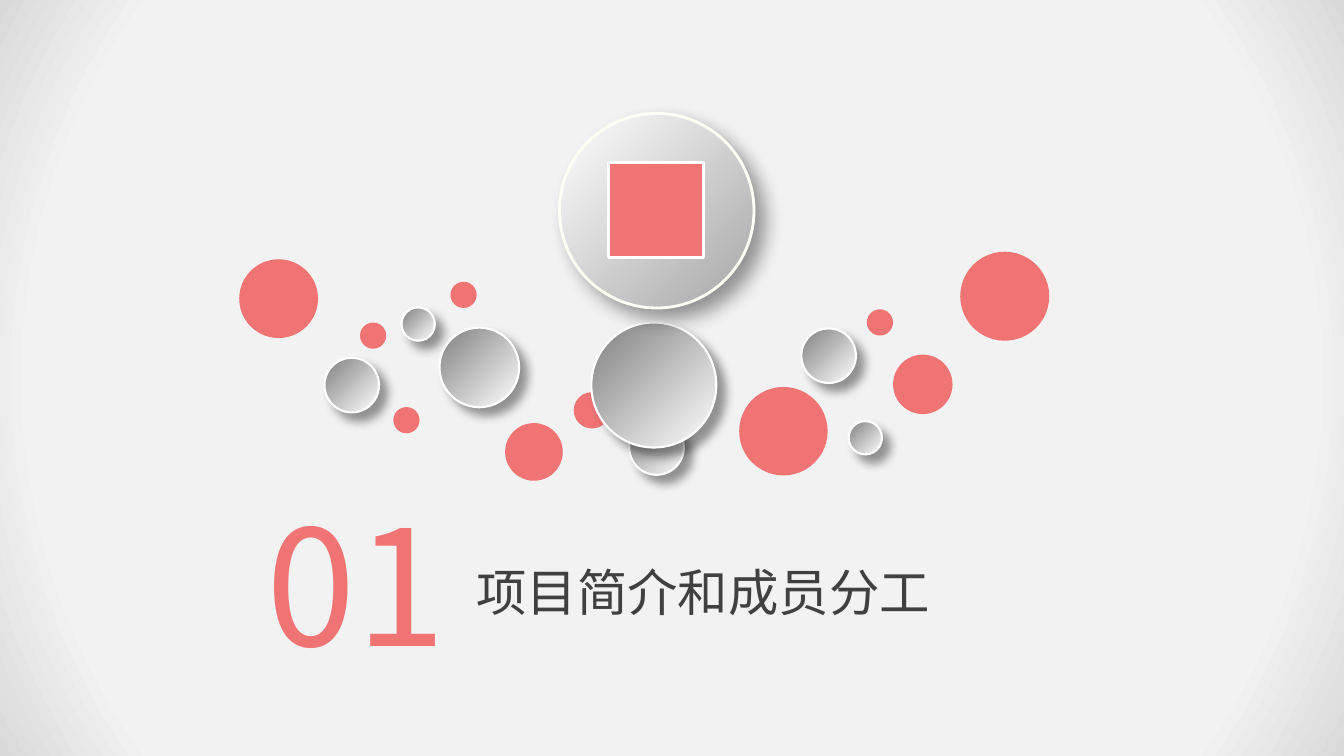
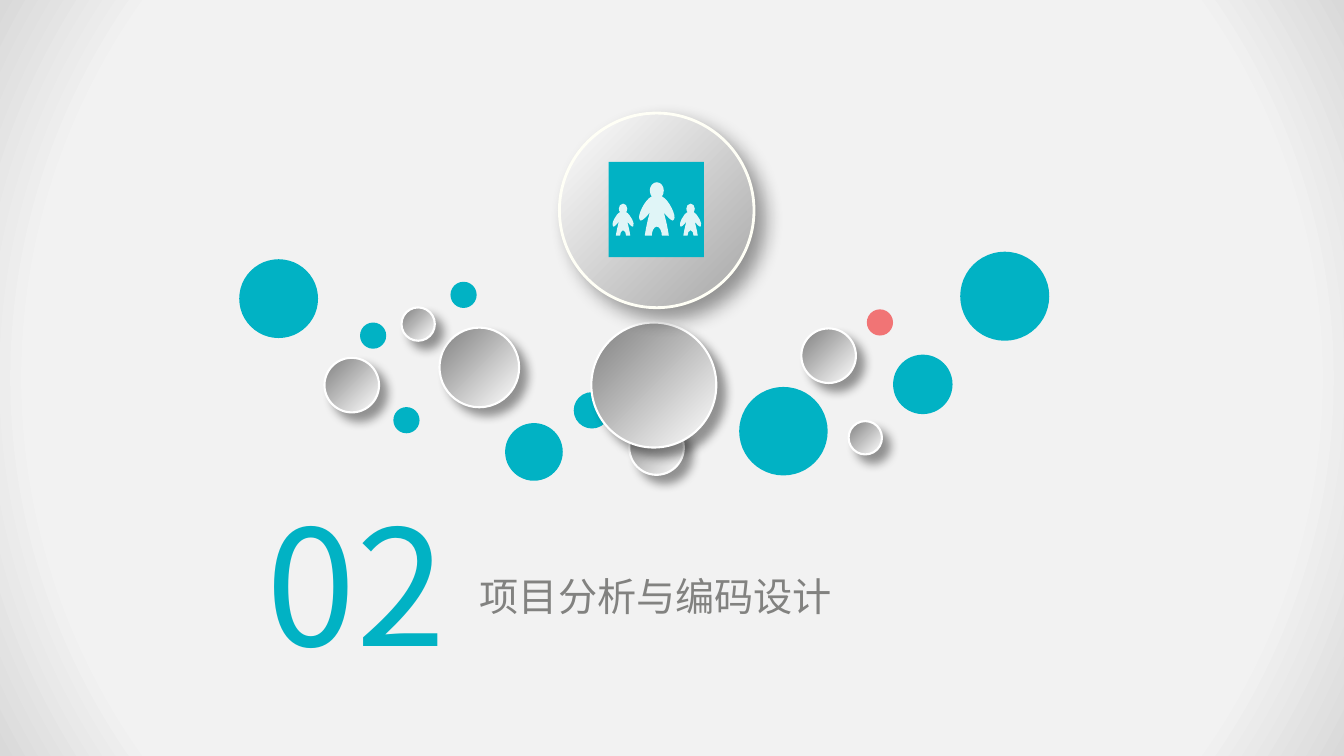
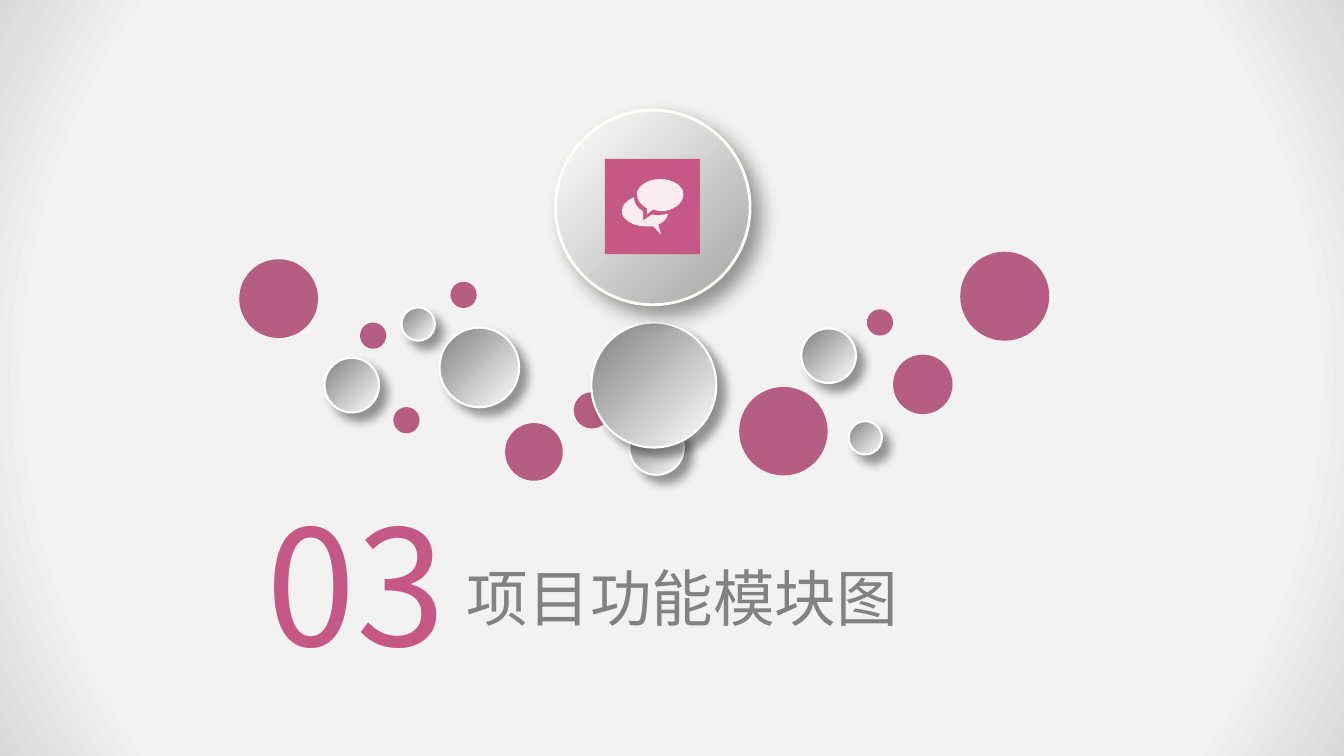
from dataclasses import dataclass
from typing import NamedTuple

from lxml.etree import Element, SubElement
from pptx import Presentation
from pptx.dml.color import RGBColor
from pptx.enum.shapes import MSO_SHAPE as Preset
from pptx.enum.text import MSO_ANCHOR as Anchor, MSO_AUTO_SIZE as AutoSize, PP_ALIGN as Align
from pptx.oxml.ns import qn
from pptx.util import Pt

COLOURS = {
    "coral": "F17475", "teal": "01B2C4", "rose": "C65885", "mauve": "B65E82",
    "white": "FFFFFF", "ivory": "FFFFF6", "silver": "A6A6A6", "steel": "808080",
    "ink": "404040", "grey": "828280", "paper": "F2F2F2", "edge": "D9D9D9",
}
FONT = "Noto Sans CJK SC"
DISC_SIZE, TILE_SIZE = 139, 68
TILE_RIGHT, TILE_DOWN = 35.2, 34.8


class Ball(NamedTuple):
    left: float
    top: float
    size: float
    raised: bool = False


class Relief(NamedTuple):
    """Look of a raised circle; the shadow is given by blur and distance."""
    dark: str
    angle: float
    rim: str
    rim_width: float
    blur: float
    distance: float


@dataclass
class Section:
    number: str
    title: str
    accent: str
    ball_colour: str
    spot_colour: str
    title_colour: str
    title_size: float
    title_at: tuple
    disc_at: tuple
    icon: tuple = ()
    icon_opacity: int = 100


SPOT = Ball(619.2, 221, 18.7)
BALLS = [
    Ball(449.5, 300.2, 39, True), Ball(409.8, 280.1, 26), Ball(170.9, 185.2, 56.3),
    Ball(422.4, 230.4, 89.3, True), Ball(360.8, 302.2, 41.2), Ball(528, 276.4, 63.2),
    Ball(231.8, 255.6, 39, True), Ball(606.2, 300.8, 23.8, True), SPOT,
    Ball(637.9, 253.3, 42.5), Ball(685.9, 179.8, 63.6), Ball(321.8, 201.3, 18.7),
    Ball(313.9, 234, 56.9, True), Ball(257.2, 230.4, 18.7), Ball(281, 290.8, 18.7),
    Ball(286.8, 219.6, 23.8, True), Ball(572.4, 234.6, 39, True),
]
DISC_RELIEF = Relief("silver", 315, "ivory", 2, 14, 10)
BALL_RELIEF = Relief("steel", 135, "white", 1.5, 7, 8)

# An outline is a list of segments: one point for a line, three for a Bézier curve.
HALF_PERSON = [
    [(0, -6.5)],
    [(2.2, -6.5), (3.6, -2.9), (3.6, 0)],
    [(8.6, 0)],
    [(7.9, -5), (6.5, -11.5), (5, -16.6)],
    [(7.2, -13.7), (10.1, -10.8), (11.5, -10.8)],
    [(12.2, -11.5)],
    [(14.4, -13.7), (8.6, -25.9), (3.6, -28.1)],
    [(4.3, -28.8), (5, -30.2), (5, -32.4)],
    [(5, -35.3), (2.9, -38.2), (0, -38.2)],
]
BACK_BUBBLE = [
    [(33.8, 39.6)],
    [(33.1, 40.3), (27.4, 43.9), (27.4, 43.9)],
    [(27.4, 43.9), (27.4, 38.9), (27.4, 37.4)],
    [(23, 35.3), (20.9, 31), (20.9, 27.4)],
    [(15.8, 29.5), (12.2, 33.1), (12.2, 37.4)],
    [(12.2, 43.2), (20.2, 48.2), (28.8, 48.2)],
    [(31, 48.2), (32.4, 48.2), (34.6, 48.2)],
    [(40.3, 54)],
    [(38.2, 46.8)],
    [(42.5, 45.4), (44.6, 42.5), (45.4, 38.9)],
    [(43.2, 39.6), (41, 40.3), (38.9, 40.3)],
    [(37.4, 40.3), (35.3, 40.3), (33.8, 39.6)],
]
FRONT_BUBBLE = [
    [(39.6, 14.4)],
    [(31, 14.4), (23, 19.4), (23, 25.2)],
    [(23, 29.5), (25.9, 33.1), (30.2, 35.3)],
    [(30.2, 39.6)],
    [(34.6, 36)],
    [(36, 36.7), (38.2, 37.4), (39.6, 37.4)],
    [(49, 37.4), (56.2, 31.7), (56.2, 25.2)],
    [(56.2, 19.4), (49, 14.4), (39.6, 14.4)],
]


def person(centre: float, feet: float, scale: float) -> list:
    """Complete the half figure with its mirror image, walked backwards."""
    mirrored = []
    for before, segment in reversed(list(zip(HALF_PERSON, HALF_PERSON[1:]))):
        backwards = [*reversed(segment[:-1]), before[-1]]
        mirrored.append([(-x, y) for x, y in backwards])
    return [[(centre + scale * x, feet + scale * y) for x, y in segment]
            for segment in HALF_PERSON + mirrored]


FAMILY = tuple(person(34.4 + offset, 52.8, scale)
               for offset, scale in ((-24.1, 0.6), (0, 1), (24.1, 0.6)))

SECTIONS = [
    Section("01", "项目简介和成员分工", "coral", "coral", "coral", "ink", 36,
            (333, 397.4), (399.6, 81)),
    Section("02", "项目分析与编码设计", "teal", "teal", "coral", "grey", 28,
            (335.5, 405.4), (399.6, 80.8), FAMILY, 88),
    Section("03", "项目功能模块图", "rose", "mauve", "mauve", "grey", 44,
            (326.3, 396), (396.8, 78.7), (BACK_BUBBLE, FRONT_BUBBLE), 89),
]


def rgb(name: str) -> RGBColor:
    return RGBColor.from_string(COLOURS[name])


def set_gradient(fill, first: str, last: str) -> None:
    fill.gradient()
    for stop, name in zip(fill.gradient_stops, (first, last)):
        stop.color.rgb = rgb(name)


def add_shadow(shape, blur: float, distance: float) -> None:
    effects = shape.element.spPr.find(qn("a:effectLst"))
    outer = SubElement(effects, qn("a:outerShdw"), blurRad=str(Pt(blur)),
                       dist=str(Pt(distance)), dir="2700000",
                       algn="tl", rotWithShape="0")
    colour = SubElement(outer, qn("a:srgbClr"), val="000000")
    SubElement(colour, qn("a:alpha"), val="40000")


def paint(shape, colour: str) -> None:
    shape.shadow.inherit = False
    shape.fill.solid()
    shape.fill.fore_color.rgb = rgb(colour)
    shape.line.fill.background()


def add_flat(shapes, preset, left: float, top: float, size: float, colour: str):
    shape = shapes.add_shape(preset, Pt(left), Pt(top), Pt(size), Pt(size))
    paint(shape, colour)
    return shape


def add_rim(shape, colour: str, width: float) -> None:
    shape.line.color.rgb = rgb(colour)
    shape.line.width = Pt(width)


def add_raised(shapes, ball: Ball, relief: Relief) -> None:
    shape = add_flat(shapes, Preset.OVAL, ball.left, ball.top, ball.size, "white")
    set_gradient(shape.fill, "white", relief.dark)
    shape.fill.gradient_angle = relief.angle
    add_rim(shape, relief.rim, relief.rim_width)
    add_shadow(shape, relief.blur, relief.distance)


def add_balls(page, section: Section) -> None:
    shapes = page.shapes.add_group_shape().shapes
    for ball in BALLS:
        if ball.raised:
            add_raised(shapes, ball, BALL_RELIEF)
        else:
            colour = section.spot_colour if ball is SPOT else section.ball_colour
            add_flat(shapes, Preset.OVAL, ball.left, ball.top, ball.size, colour)


def bend(icon, outlines: tuple) -> None:
    """Join the lines through the three points of each curve into one Bézier."""
    lines = iter(list(icon.element.iter(qn("a:lnTo"))))
    for outline in outlines:
        for segment in outline[1:]:
            parts = [next(lines) for _ in segment]
            if len(parts) == 1:
                continue
            curve = Element(qn("a:cubicBezTo"))
            parts[0].addprevious(curve)
            for part in parts:
                curve.append(part[0])
                part.getparent().remove(part)


def add_icon(shapes, outlines: tuple, left: float, top: float, opacity: int) -> None:
    builder = None
    for outline in outlines:
        points = [(Pt(left + x), Pt(top + y)) for segment in outline for x, y in segment]
        if builder is None:
            builder = shapes.build_freeform(*points[0])
        else:
            builder.move_to(*points[0])
        builder.add_line_segments(points[1:])
    icon = builder.convert_to_shape()
    bend(icon, outlines)
    paint(icon, "white")
    colour = icon.element.spPr.find(qn("a:solidFill")).find(qn("a:srgbClr"))
    SubElement(colour, qn("a:alpha"), val=str(opacity * 1000))


def add_badge(page, section: Section) -> None:
    shapes = page.shapes.add_group_shape().shapes
    left, top = section.disc_at
    add_raised(shapes, Ball(left, top, DISC_SIZE, True), DISC_RELIEF)
    left, top = left + TILE_RIGHT, top + TILE_DOWN
    tile = add_flat(shapes, Preset.RECTANGLE, left, top, TILE_SIZE, section.accent)
    if section.icon:
        add_icon(shapes, section.icon, left, top, section.icon_opacity)
    else:
        add_rim(tile, "white", 2)


def write(box, text: str, size: float, colour: str, wrap: bool) -> None:
    frame = box.text_frame
    frame_format = {"word_wrap": wrap, "vertical_anchor": Anchor.TOP,
                    "auto_size": AutoSize.SHAPE_TO_FIT_TEXT}
    for name, value in frame_format.items():
        setattr(frame, name, value)
    para = frame.paragraphs[0]
    para.alignment = Align.LEFT
    span = para.add_run()
    span.text = text
    for name, value in {"size": Pt(size), "name": FONT, "bold": False}.items():
        setattr(span.font, name, value)
    span.font.color.rgb = rgb(colour)
    SubElement(span.font._element, qn("a:ea"), typeface=FONT)


def add_heading(page, section: Section) -> None:
    number = page.shapes.add_textbox(Pt(183.6), Pt(343.4), Pt(154), Pt(147))
    write(number, section.number, 115, section.accent, False)
    title = page.shapes.title
    title.left, title.top = (Pt(length) for length in section.title_at)
    title.width, title.height = Pt(347.8), Pt(section.title_size * 1.2 + 7.2)
    write(title, section.title, section.title_size, section.title_colour, True)


def set_background(master) -> None:
    fill = master.background.fill
    set_gradient(fill, "paper", "edge")
    fill.gradient_stops[0].position = 0.83
    gradient = master.element.find(".//" + qn("a:gradFill"))
    gradient.remove(gradient.find(qn("a:lin")))
    focus = SubElement(gradient, qn("a:path"), path="circle")
    SubElement(focus, qn("a:fillToRect"), l="50000", t="50000", r="50000", b="50000")


def main() -> None:
    deck = Presentation()
    deck.slide_width, deck.slide_height = Pt(960), Pt(540)
    set_background(deck.slide_master)
    title_only = deck.slide_layouts.get_by_name("Title Only")
    for section in SECTIONS:
        page = deck.slides.add_slide(title_only)
        add_heading(page, section)
        add_balls(page, section)
        add_badge(page, section)
    deck.save("out.pptx")


if __name__ == "__main__":
    main()
